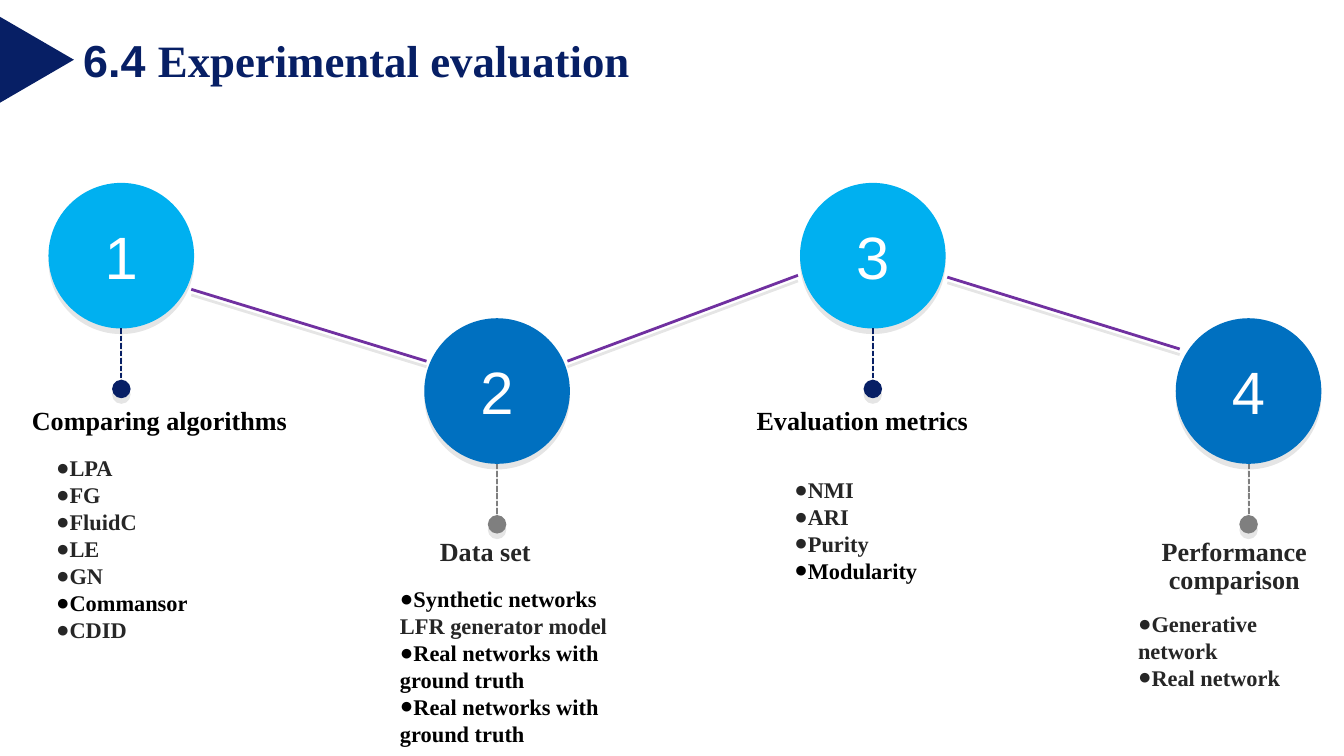
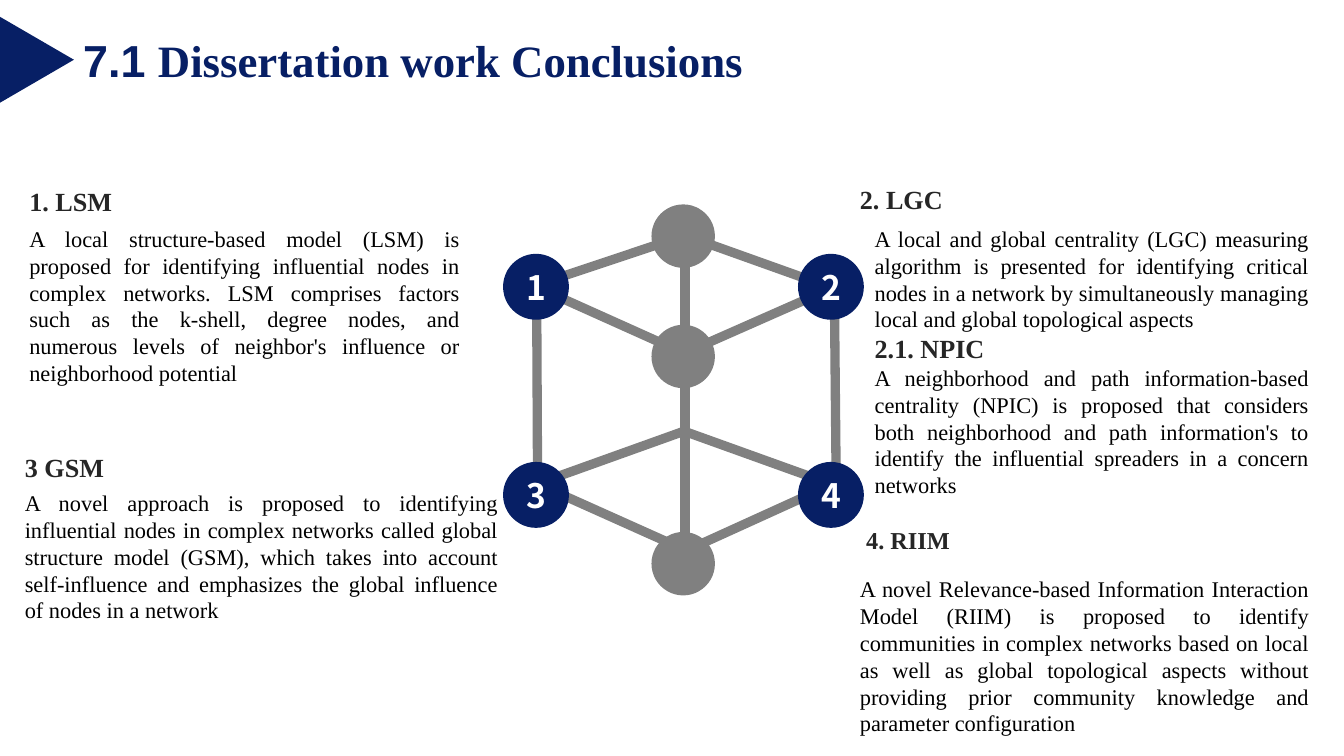
"""Build two slides: experimental evaluation steps and dissertation conclusions."""
from lxml import etree
from pptx import Presentation
from pptx import util as u
from pptx.dml.color import RGBColor
from pptx.enum import dml, shapes, text
from pptx.oxml.ns import qn

NAVY, SKY, BLUE, PURPLE = "071F65", "00B0F0", "0070C0", "7030A0"
WHITE, BLACK, INK, GREY, STALK_GREY = "FFFFFF", "000000", "262626", "808080", "7F7F7F"
SERIF, SANS, DIGITS = "Times New Roman", "Arial", "Noto Sans CJK SC"
LEFT, CENTER, JUSTIFY = text.PP_ALIGN.LEFT, text.PP_ALIGN.CENTER, text.PP_ALIGN.JUSTIFY

# style: size, bold, alignment, line spacing, bulleted
STYLES = {
    "topic": (14, True, CENTER, 0.9, False),
    "left topic": (14, True, LEFT, 0.9, False),
    "bullet": (12, True, LEFT, 1, True),
    "heading": (14, True, LEFT, 1, False),
    "small heading": (13, True, LEFT, 1, False),
    "body": (12, False, JUSTIFY, 1, False),
}

# step: number, circle top, circle fill, stalk colour
STEPS = [
    ("1", 98, SKY, NAVY), ("2", 170.5, BLUE, STALK_GREY),
    ("3", 98, SKY, NAVY), ("4", 170.5, BLUE, STALK_GREY),
]
STEP_LEFT, STEP_GAP, STEP_SIZE, STALK_LENGTH = 26, 201.3, 78, 32.4
STEP_LINKS = [
    (102.5, 155, 228.5, 193.5), (304, 193.5, 427.5, 147.5), (507.5, 148.5, 632, 187),
]

# text block: (left, top, width, height), paragraphs of (style, lines of (words, colour))
EVALUATION_TEXT = [
    ((10, 215, 160, 22), [("left topic", [("Comparing algorithms", BLACK)])]),
    ((23, 240, 157.5, 126), [
        ("bullet", [("LPA", INK)]), ("bullet", [("FG", INK)]),
        ("bullet", [("FluidC", INK)]), ("bullet", [("LE", INK)]),
        ("bullet", [("GN", INK)]), ("bullet", [("Commansor", BLACK)]),
        ("bullet", [("CDID", INK)])]),
    ((169, 285, 182, 22), [("topic", [("Data set", INK)])]),
    ((207.2, 310, 144, 111.5), [
        ("bullet", [("Synthetic networks", BLACK), ("LFR generator model", INK)]),
        ("bullet", [("Real networks with ground truth", BLACK)]),
        ("bullet", [("Real networks with ground truth", BLACK)])]),
    ((371, 215, 182, 22), [("topic", [("Evaluation metrics", BLACK)])]),
    ((418.5, 251.5, 88, 65.5), [
        ("bullet", [("NMI", INK)]), ("bullet", [("ARI", INK)]),
        ("bullet", [("Purity", INK)]), ("bullet", [("Modularity", BLACK)])]),
    ((602.6, 285, 117.4, 38), [("topic", [("Performance comparison", INK)])]),
    ((602.6, 323.3, 103, 51), [
        ("bullet", [("Generative network", INK)]), ("bullet", [("Real network", INK)])]),
]

NETWORK_EDGES = [
    (366, 126.5, 285, 153.5), (438, 263, 372, 293), (366.5, 231, 294, 257),
    (438.5, 157.5, 366, 189.5), (360, 291.5, 297.5, 263.5), (441.5, 258, 365, 230.5),
    (445, 154, 368, 126.5), (361.5, 187, 292.5, 156), (287.5, 157.5, 288, 261.5),
    (447, 157.5, 448, 261.5), (367, 134.5, 367, 294.5),
]
NODE_LEFTS, NODE_TOPS, NODE_SIZE = (269.5, 427.5), (136, 247.5), 35.3
HUB_LEFT, HUB_TOPS, HUB_SIZE = 349, (109.5, 174, 285), 34

CONCLUSION_TEXT = [
    ((8.6, 95.8, 245, 24.5), [("heading", [("1. LSM", INK)])]),
    ((8.6, 117, 245, 94), [("body", [(
        "A local structure-based model (LSM) is proposed for identifying influential nodes "
        "in complex networks. LSM comprises factors such as the k-shell, degree nodes, and "
        "numerous levels of neighbor's influence or neighborhood potential", BLACK)])]),
    ((453.6, 94.5, 263, 24.5), [("heading", [("2. LGC", INK)])]),
    ((461.5, 117, 247, 155), [
        ("body", [(
            "A local and global centrality (LGC) measuring algorithm is presented for "
            "identifying critical nodes in a network by simultaneously managing local and "
            "global topological aspects", BLACK)]),
        ("heading", [("2.1. NPIC", INK)]),
        ("body", [(
            "A neighborhood and path information-based centrality (NPIC) is proposed that "
            "considers both neighborhood and path information's to identify the influential "
            "spreaders in a concern networks", BLACK)])]),
    ((6.2, 238.3, 281.5, 24.5), [("heading", [("3 GSM", INK)])]),
    ((6.2, 258.5, 268, 80), [("body", [(
        "A novel approach is proposed to identifying influential nodes in complex networks "
        "called global structure model (GSM), which takes into account self-influence and "
        "emphasizes the global influence of nodes in a network", BLACK)])]),
    ((457, 278, 263, 23), [("small heading", [("4. RIIM", INK)])]),
    ((453.6, 304.6, 255, 94), [("body", [(
        "A novel Relevance-based Information Interaction Model (RIIM) is proposed to identify "
        "communities in complex networks based on local as well as global topological aspects "
        "without providing prior community knowledge and parameter configuration", BLACK)])]),
]


def rgb(value):
    """Turn a hex string into a colour."""
    return RGBColor.from_string(value)


def points(values):
    """Turn numbers into point lengths."""
    return [u.Pt(value) for value in values]


def add_span(para, words, size, colour, font, bold):
    """Add one formatted run."""
    span = para.add_run()
    span.text = words
    span.font.size = u.Pt(size)
    span.font.name = font
    span.font.bold = bold
    span.font.color.rgb = rgb(colour)


def set_effects(item, shadow):
    """Give a shape or connector a soft drop shadow, or no effect at all."""
    properties = item._element.spPr
    for effects in properties.findall(qn("a:effectLst")):
        properties.remove(effects)
    effects = etree.SubElement(properties, qn("a:effectLst"))
    if shadow:
        drop = etree.SubElement(effects, qn("a:outerShdw"), blurRad="0", dist=str(u.Pt(3)),
                                dir="5400000", algn="t", rotWithShape="0")
        colour = etree.SubElement(drop, qn("a:srgbClr"), val=BLACK)
        etree.SubElement(colour, qn("a:alpha"), val="10000")


def add_shape(page, kind, frame, fill, shadow=False):
    """Add a filled preset shape without outline."""
    shape = page.shapes.add_shape(kind, *points(frame))
    shape.fill.solid()
    shape.fill.fore_color.rgb = rgb(fill)
    shape.line.fill.background()
    set_effects(shape, shadow)
    return shape


def add_circle(page, left, top, size, fill, shadow=False, label=None):
    """Add a circle, with label given as words, size, font and bold."""
    circle = add_shape(page, shapes.MSO_SHAPE.OVAL, (left, top, size, size), fill, shadow)
    if label:
        words, points_high, font, bold = label
        frame = circle.text_frame
        frame.word_wrap = False
        frame.vertical_anchor = text.MSO_ANCHOR.MIDDLE
        para = frame.paragraphs[0]
        para.alignment = CENTER
        add_span(para, words, points_high, WHITE, font, bold)


def add_line(page, ends, colour, width, shadow=False):
    """Add a straight line between two points."""
    line = page.shapes.add_connector(shapes.MSO_CONNECTOR.STRAIGHT, *points(ends))
    line.line.color.rgb = rgb(colour)
    line.line.width = u.Pt(width)
    set_effects(line, shadow)
    return line


def add_stalk(page, x, top, colour):
    """Add a dashed line that ends in a dot."""
    stalk = add_line(page, (x, top, x, top + STALK_LENGTH), colour, 1, True)
    stalk.line.dash_style = dml.MSO_LINE.SQUARE_DOT
    etree.SubElement(stalk.line._get_or_add_ln(), qn("a:tailEnd"), type="oval", w="lg", len="lg")


def add_text(page, frame, paragraphs):
    """Add a text box of styled paragraphs."""
    box = page.shapes.add_textbox(*points(frame))
    box.text_frame.word_wrap = True
    for index, (style, lines) in enumerate(paragraphs):
        para = box.text_frame.add_paragraph() if index else box.text_frame.paragraphs[0]
        size, bold, alignment, spacing, bulleted = STYLES[style]
        para.alignment = alignment
        para.line_spacing = spacing
        if bulleted:
            properties = para._p.get_or_add_pPr()
            etree.SubElement(properties, qn("a:buFont"), typeface=SANS)
            etree.SubElement(properties, qn("a:buChar"), char="●")
        for number, (words, colour) in enumerate(lines):
            if number:
                para.add_line_break()
            add_span(para, words, size, colour, SERIF, bold)


def add_page(deck, number, heading):
    """Add a slide with the title and the triangle marker."""
    page = deck.slides.add_slide(deck.slide_layouts[5])
    title = page.shapes.title
    title.left, title.top, title.width, title.height = points((37.4, 13.7, 400, 36))
    frame = title.text_frame
    frame.auto_size = text.MSO_AUTO_SIZE.NONE
    frame.vertical_anchor = text.MSO_ANCHOR.MIDDLE
    frame.paragraphs[0].alignment = LEFT
    add_span(frame.paragraphs[0], number + " ", 24, NAVY, SANS, True)
    add_span(frame.paragraphs[0], heading, 24, NAVY, SERIF, True)
    marker = add_shape(page, shapes.MSO_SHAPE.ISOSCELES_TRIANGLE, (-3.2, 12.2, 46, 39.6), NAVY)
    marker.rotation = 90
    return page


def build_evaluation(deck):
    """Build the zigzag of four evaluation steps."""
    page = add_page(deck, "6.4", "Experimental evaluation")
    for ends in STEP_LINKS:
        add_line(page, ends, PURPLE, 1.5, True)
    for index, (number, top, fill, stalk) in enumerate(STEPS):
        left = STEP_LEFT + index * STEP_GAP
        add_circle(page, left, top, STEP_SIZE, fill, True, (number, 32, SANS, False))
        add_stalk(page, left + STEP_SIZE / 2, top + STEP_SIZE, stalk)
    for frame, paragraphs in EVALUATION_TEXT:
        add_text(page, frame, paragraphs)


def build_conclusions(deck):
    """Build the network of four numbered conclusions."""
    page = add_page(deck, "7.1", "Dissertation work Conclusions")
    for ends in NETWORK_EDGES:
        add_line(page, ends, GREY, 5)
    corners = [(left, top) for top in NODE_TOPS for left in NODE_LEFTS]
    for number, (left, top) in enumerate(corners, 1):
        add_circle(page, left, top, NODE_SIZE, NAVY, label=(str(number), 18, DIGITS, True))
    for top in HUB_TOPS:
        add_circle(page, HUB_LEFT, top, HUB_SIZE, GREY)
    for frame, paragraphs in CONCLUSION_TEXT:
        add_text(page, frame, paragraphs)


def main():
    """Build and save the deck."""
    deck = Presentation()
    deck.slide_width, deck.slide_height = points((720, 405))
    build_evaluation(deck)
    build_conclusions(deck)
    deck.save("out.pptx")


if __name__ == "__main__":
    main()
